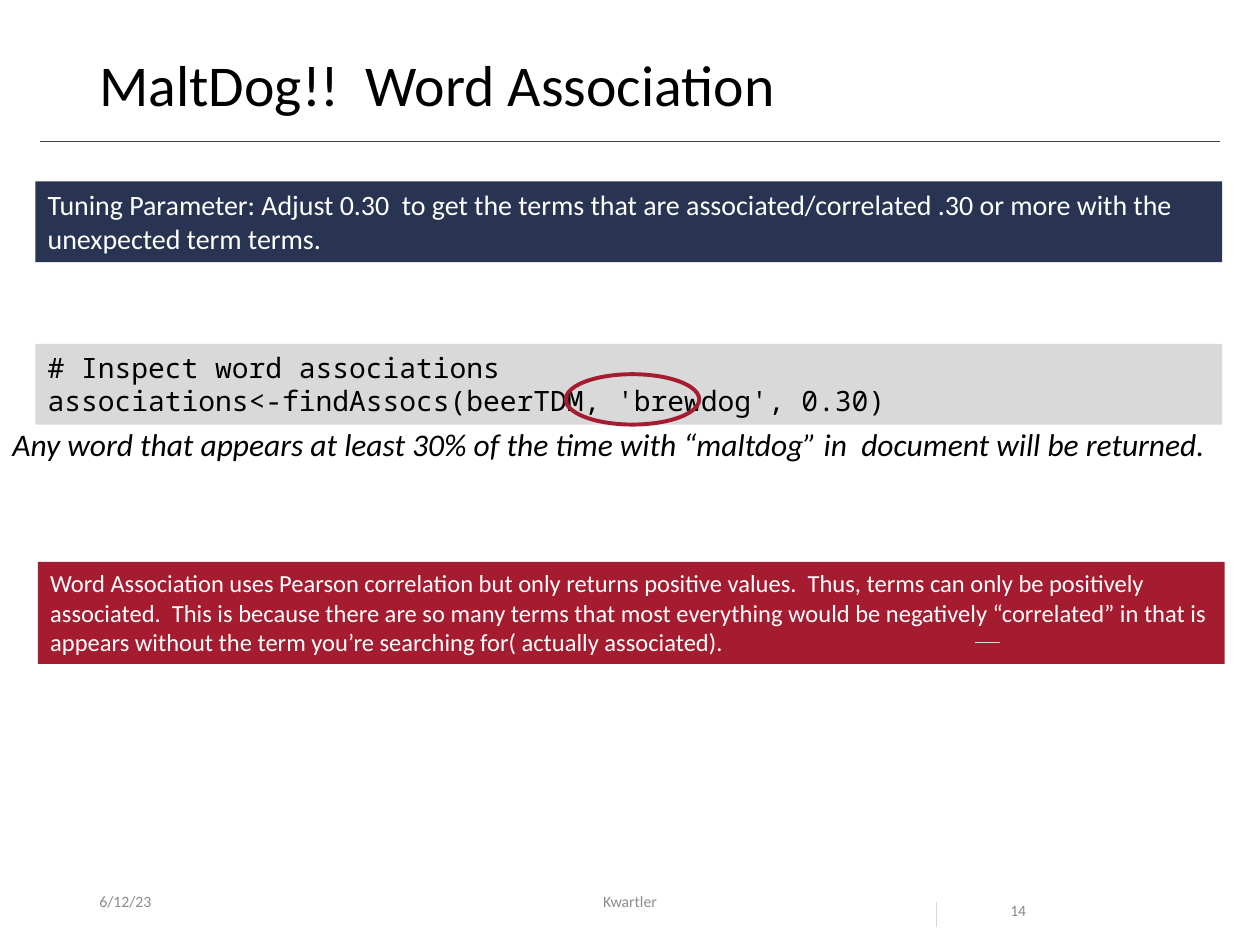
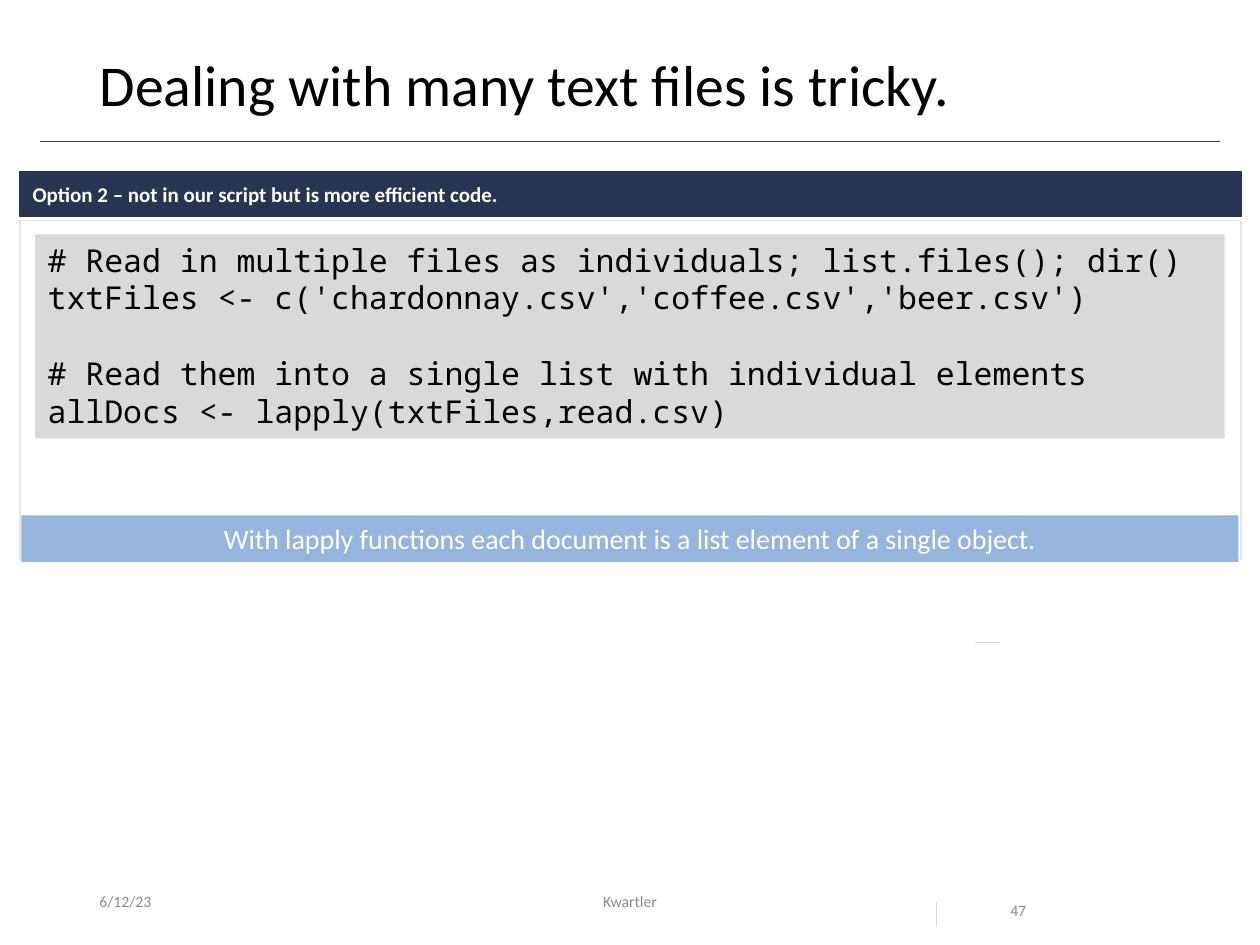
from dataclasses import dataclass

from lxml import etree
from pptx import Presentation
from pptx.dml.color import RGBColor
from pptx.enum.shapes import MSO_CONNECTOR, MSO_SHAPE
from pptx.enum.text import MSO_ANCHOR, PP_ALIGN
from pptx.oxml.ns import qn
from pptx.util import Inches, Pt

RECT, OVAL = MSO_SHAPE.RECTANGLE, MSO_SHAPE.OVAL
LINE = MSO_CONNECTOR.STRAIGHT
TOP, MID = MSO_ANCHOR.TOP, MSO_ANCHOR.MIDDLE
LEFT, CENTER = PP_ALIGN.LEFT, PP_ALIGN.CENTER


@dataclass(frozen=True)
class Theme:
    sans: str = "Calibri"
    mono: str = "Noto Sans Mono"
    black: str = "000000"
    white: str = "FFFFFF"
    red: str = "A51C30"
    navy: str = "293352"
    sky: str = "95B5DC"
    code: str = "D9D9D9"
    edge: str = "E7E6E6"
    rule: str = "404040"
    mute: str = "8C8C8C"
    title: float = 33
    large: float = 18
    body: float = 16
    note: float = 14
    label: float = 12
    foot: float = 9


T = Theme()
rgb = RGBColor.from_string

prs = Presentation()
prs.slide_width, prs.slide_height = Inches(10), Inches(7.5)
# The grid has 100 columns and 100 rows
COL, ROW = prs.slide_width / 100, prs.slide_height / 100


def place(x, y, w, h):
    return int(x * COL), int(y * ROW), int(w * COL), int(h * ROW)


def box(slide, area, lines=(), size=T.body, color=T.white, face=T.sans,
        fill=None, line=None, weight=0.75, kind=RECT, align=LEFT, anchor=TOP):
    """Add a shape, or a plain text box when it has neither fill nor line."""
    if fill or line:
        shape = slide.shapes.add_shape(kind, *place(*area))
        shape.shadow.inherit = False
        if fill:
            shape.fill.solid()
            shape.fill.fore_color.rgb = rgb(fill)
        else:
            shape.fill.background()
        if line:
            shape.line.color.rgb = rgb(line)
            shape.line.width = Pt(weight)
        else:
            shape.line.fill.background()
    else:
        shape = slide.shapes.add_textbox(*place(*area))
    frame = shape.text_frame
    frame.word_wrap = True
    frame.vertical_anchor = anchor
    if lines:
        frame.text = "\n".join(lines)
    for para in frame.paragraphs:
        para.alignment = align
        para.font.size, para.font.name = Pt(size), face
        para.font.color.rgb = rgb(color)
    return frame


# Shared title, footer and rules
pages = []
for head, page in (("MaltDog!!  Word Association", "14"),
                   ("Dealing with many text files is tricky.", "47")):
    slide = prs.slides.add_slide(prs.slide_layouts[5])
    pages.append(slide)
    title = slide.shapes.title
    title.left, title.top, title.width, title.height = place(6.9, 5.33, 86.2, 8.67)
    title.text_frame.text = head
    title.text_frame.vertical_anchor = TOP
    para = title.text_frame.paragraphs[0]
    para.alignment, para.line_spacing = LEFT, 0.9
    para.font.size, para.font.name = Pt(T.title), T.sans
    para.font.color.rgb = rgb(T.black)

    for x, wide, text, align in ((6.9, 22.5, "6/12/23", LEFT),
                                 (33.1, 33.8, "Kwartler", CENTER)):
        box(slide, (x, 92.67, wide, 5.33), [text], T.foot, T.mute,
            align=align, anchor=MID)
    number = box(slide, (79.2, 92.67, 9.4, 5.33), [page], T.foot, T.mute)
    number.paragraphs[0].line_spacing = 2.0

# Word association: notes and code
first, second = pages
box(first, (3, 59.47, 94.2, 10.8),
    ["Word Association uses Pearson correlation but only returns positive "
     "values.  Thus, terms can only be positively associated.  This is because "
     "there are so many terms that most everything would be negatively "
     "“correlated” in that is appears without the term you’re searching for( "
     "actually associated)."], T.note, fill=T.red)
box(first, (2.8, 36.4, 94.2, 8.53),
    ["# Inspect word associations",
     "associations<-findAssocs(beerTDM, 'brewdog', 0.30)"],
    color=T.black, face=T.mono, fill=T.code)
box(first, (44.9, 39.6, 10.6, 5.33), line=T.red, weight=2.25, kind=OVAL)
box(first, (2.8, 19.2, 94.2, 8.53),
    ["Tuning Parameter: Adjust 0.30  to get the terms that are "
     "associated/correlated .30 or more with the unexpected term terms."],
    fill=T.navy)
remark = box(first, (0, 44.27, 98.2, 5.33),
             ["Any word that appears at least 30% of the time with “maltdog” in  "
              "document will be returned."], T.large, T.black)
remark.word_wrap = False
remark.paragraphs[0].font.italic = True

# Many files: panel, heading, code and summary
box(second, (1.6, 23.33, 96.9, 35.87), fill=T.white, line=T.edge)
option = box(second, (1.6, 18.13, 96.9, 4.8),
             ["Option 2 – not in our script but is more efficient code."],
             T.label, fill=T.navy, line=T.navy, anchor=MID)
option.margin_top = option.margin_bottom = Inches(0.1)
option.paragraphs[0].font.bold = True
listing = box(second, (2.8, 24.8, 94.4, 21.6),
              ["# Read in multiple files as individuals; list.files(); dir()",
               "txtFiles <- c('chardonnay.csv','coffee.csv','beer.csv')",
               "# Read them into a single list with individual elements",
               "allDocs <- lapply(txtFiles,read.csv)"],
              T.large, T.black, T.mono, fill=T.code)
listing.paragraphs[2].space_before = Pt(21.5)
box(second, (1.7, 54.53, 96.6, 4.93),
    ["With lapply functions each document is a list element of a single object."],
    fill=T.sky, align=CENTER)

# Title rule and small marks, in front
for slide in pages:
    for x1, y1, x2, y2, tint in ((3.2, 14.93, 96.8, 14.93, T.rule),
                                 (74.3, 95.47, 74.3, 98.13, T.code),
                                 (77.4, 68, 79.4, 68, T.code)):
        mark = slide.shapes.add_connector(LINE, *place(x1, y1, x2, y2))
        mark.line.color.rgb, mark.line.width = rgb(tint), Pt(0.5)
        etree.SubElement(mark._element.spPr, qn("a:effectLst"))

prs.save("out.pptx")
